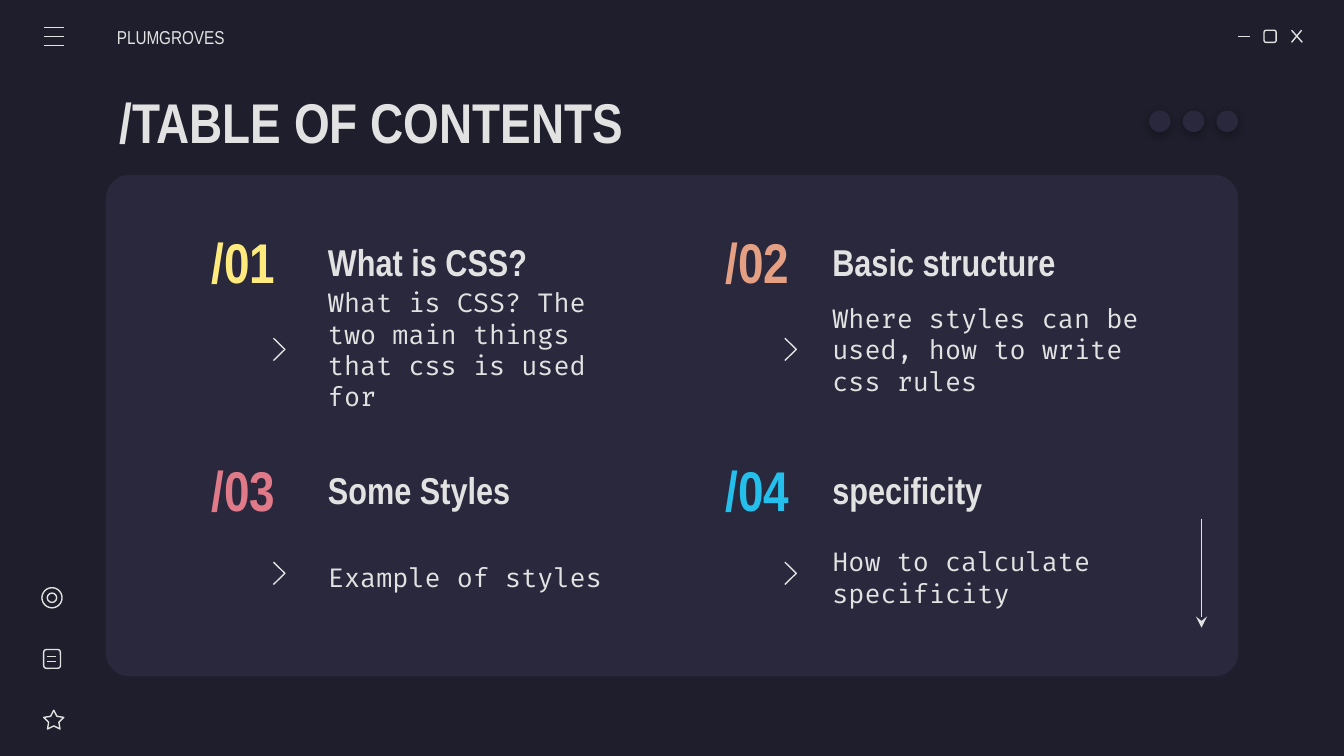
from lxml import etree
from pptx import Presentation
from pptx import util as u
from pptx.dml.color import RGBColor
from pptx.enum import shapes, text
from pptx.oxml import ns

SHAPE = shapes.MSO_SHAPE
CELL = 0.1  # inches: the slide is a grid of 100 columns by 56.25 rows
LIGHT, PANEL, BACKDROP = "E2E2E2", "29283D", "1E1E2C"
HEADING, CODE = "Arial Narrow", "Fira Code"


def grid(*cells):
    return [u.Inches(cell * CELL) for cell in cells]


def color(hex_value):
    return RGBColor.from_string(hex_value)


def add_xml(parent, tag, **attributes):
    return etree.SubElement(parent, ns.qn(tag), attributes)


class Deck:
    def __init__(self):
        self.prs = Presentation()
        self.prs.slide_width, self.prs.slide_height = grid(100, 56.25)
        self.slide = self.prs.slides.add_slide(self.prs.slide_layouts[6])
        backdrop = self.slide.background.fill
        backdrop.solid()
        backdrop.fore_color.rgb = color(BACKDROP)

    def paint(self, item, fill=None):
        """A filled item has no outline; an unfilled one is a thin outline."""
        item.shadow.inherit = False
        if fill:
            item.fill.solid()
            item.fill.fore_color.rgb = color(fill)
            item.line.fill.background()
        else:
            item.fill.background()
            self.stroke(item)
        return item

    def stroke(self, item):
        item.line.color.rgb = color(LIGHT)
        item.line.width = u.Pt(0.75)

    def shape(self, preset, x, y, w, h, fill=None, adjust=None):
        item = self.slide.shapes.add_shape(preset, *grid(x, y, w, h))
        if adjust is not None:
            item.adjustments[0] = adjust
        return self.paint(item, fill)

    def line(self, x1, y1, x2, y2, tail=None):
        item = self.slide.shapes.add_connector(
            shapes.MSO_CONNECTOR.STRAIGHT, *grid(x1, y1, x2, y2))
        self.stroke(item)
        if tail:
            add_xml(item.line._get_or_add_ln(), "a:tailEnd", type=tail)
        add_xml(item._element.spPr, "a:effectLst")

    def outline(self, *points):
        start, *others = [grid(*point) for point in points]
        builder = self.slide.shapes.build_freeform(*start)
        builder.add_line_segments(others, close=False)
        self.paint(builder.convert_to_shape())

    def soft_shadow(self, item):
        effects = item._element.spPr.find(ns.qn("a:effectLst"))
        shadow = add_xml(effects, "a:outerShdw", blurRad=str(u.Pt(4.5)),
                         dist=str(u.Pt(1.5)), dir="5400000", algn="bl",
                         rotWithShape="0")
        black = add_xml(shadow, "a:srgbClr", val="000000")
        add_xml(black, "a:alpha", val="29000")

    def text(self, words, x, y, w, h, size, font=HEADING, ink=LIGHT,
             bold=True, align=text.PP_ALIGN.LEFT, inset_left=1):
        frame = self.slide.shapes.add_textbox(*grid(x, y, w, h)).text_frame
        left, other = grid(inset_left, 1)
        frame_format = {
            "word_wrap": True, "auto_size": text.MSO_AUTO_SIZE.NONE,
            "vertical_anchor": text.MSO_ANCHOR.MIDDLE, "margin_left": left,
            "margin_right": other, "margin_top": other, "margin_bottom": other}
        for name, value in frame_format.items():
            setattr(frame, name, value)
        paragraph = frame.paragraphs[0]
        paragraph.alignment = align
        run = paragraph.add_run()
        run.text = words
        for name, value in {"name": font, "size": u.Pt(size), "bold": bold}.items():
            setattr(run.font, name, value)
        run.font.color.rgb = color(ink)


def window_frame(deck):
    # Content panel
    deck.shape(SHAPE.ROUNDED_RECTANGLE, 7.88, 13.03, 84.25, 37.3, PANEL, 0.047)
    # Window buttons: minimise, maximise, close
    deck.line(92.1, 2.7, 93, 2.7)
    deck.shape(SHAPE.ROUNDED_RECTANGLE, 94.05, 2.25, 0.9, 0.9)
    deck.line(96.1, 2.25, 96.9, 3.15)
    deck.line(96.85, 2.25, 96.1, 3.15)
    # Menu bars
    for bar in range(3):
        y = 2.05 + 0.67 * bar
        deck.line(3.25, y, 4.75, y)
    # Side icons: star, note, target
    deck.shape(SHAPE.STAR_5_POINT, 3.25, 52.85, 1.5, 1.4, adjust=0.254)
    deck.shape(SHAPE.ROUNDED_RECTANGLE, 3.25, 48.33, 1.25, 1.4)
    for y in (48.83, 49.23):
        deck.line(3.5, y, 4.2, y)
    for inset in (0, 0.4):
        side = 1.5 - 2 * inset
        deck.shape(SHAPE.OVAL, 3.12 + inset, 43.73 + inset, side, side)
    # Scroll arrow
    deck.line(89.4, 38.6, 89.4, 46.7, tail="stealth")
    # Panel dots
    for dot in range(3):
        deck.soft_shadow(
            deck.shape(SHAPE.OVAL, 85.5 + 2.51 * dot, 8.23, 1.6, 1.6, PANEL))


def contents(deck):
    topics = [
        ("What is CSS?", "What is CSS? The two main things that css is used for", "FFEA7D"),
        ("Basic structure", "Where styles can be used, how to write css rules", "E5A083"),
        ("Some Styles", "Example of styles", "E07A88"),
        ("specificity", "How to calculate specificity", "24BFEB"),
    ]
    columns = [(13.55, 23.42, 20.35), (51.8, 60.95, 58.4)]  # number, text, chevron
    rows = [(16.67, 25.17), (33.6, 41.83)]  # heading, chevron
    for index, (heading, summary, accent) in enumerate(topics):
        number_x, text_x, chevron_x = columns[index % 2]
        y, chevron_y = rows[index // 2]
        deck.text(f"/{index + 1:02}", number_x, y, 9.1, 5.6, 30, ink=accent,
                  align=text.PP_ALIGN.CENTER)
        deck.text(heading, text_x, y, 25.6, 5.6, 20)
        deck.text(summary, text_x, y + 5.58, 25.6, 7.5, 14, CODE, bold=False)
        deck.outline((chevron_x, chevron_y), (chevron_x + 0.85, chevron_y + 0.83),
                     (chevron_x, chevron_y + 1.66))


def main():
    deck = Deck()
    window_frame(deck)
    deck.text("PLUMGROVES", 8.7, 1.25, 11.7, 3, 10, bold=False, inset_left=0)
    deck.text("/TABLE OF CONTENTS", 7.9, 5.9, 84.3, 6.3, 30)
    contents(deck)
    deck.prs.save("out.pptx")


if __name__ == "__main__":
    main()
